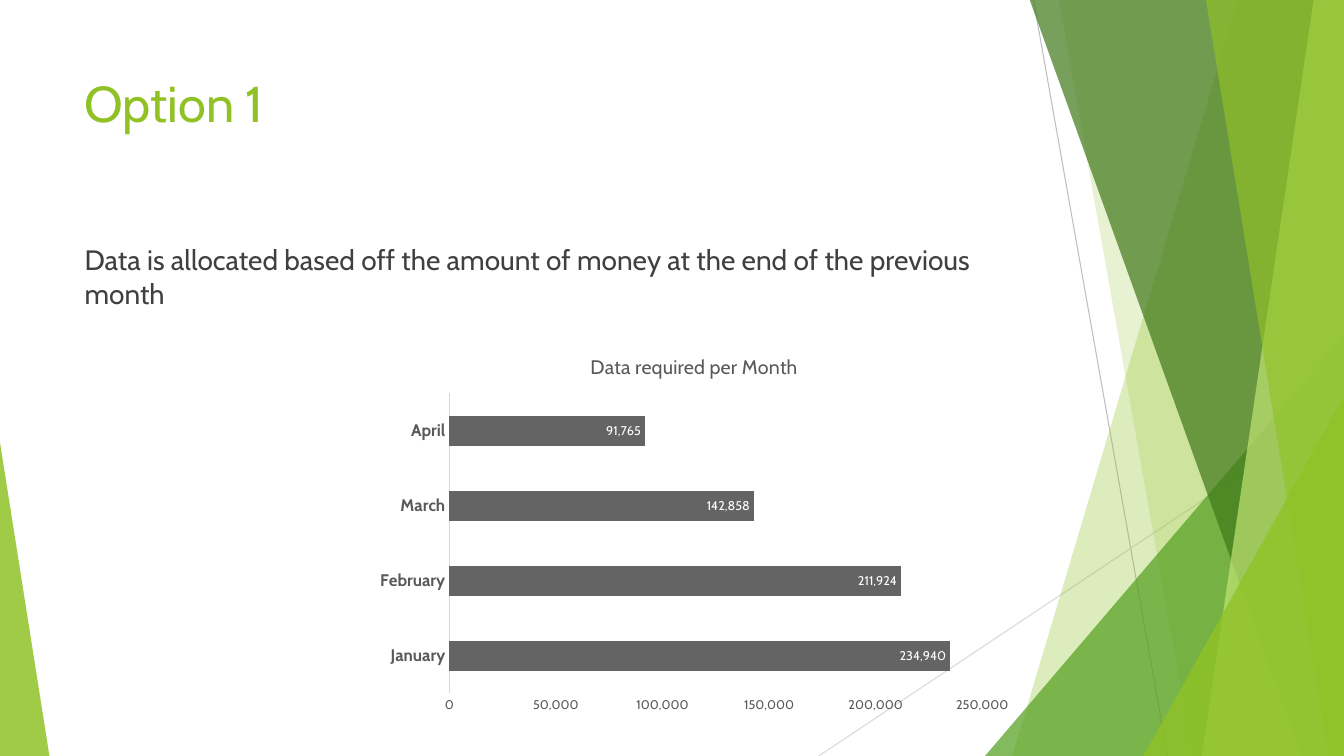
from lxml import etree
from pptx import Presentation
from pptx import util as u
from pptx.chart import data as cd
from pptx.dml.color import RGBColor
from pptx.enum import chart as ch, shapes as sh
from pptx.oxml import ns

PX = 9144  # 100 px to the inch
W, H = 1333, 750
FONT = "Cabin"

LIME = RGBColor(0x90, 0xC2, 0x26)
GREEN = RGBColor(0x54, 0xA0, 0x21)
DARK = RGBColor(0x3F, 0x78, 0x19)
PALE = RGBColor(0xC0, 0xE4, 0x74)
SILVER = RGBColor(0xBF, 0xBF, 0xBF)
MIST = RGBColor(0xD9, 0xD9, 0xD9)
INK = RGBColor(0x40, 0x40, 0x40)
GRAY = RGBColor(0x59, 0x59, 0x59)
BAR = RGBColor(0x64, 0x64, 0x64)
WHITE = RGBColor(0xFF, 0xFF, 0xFF)


def px(*vals):
    return [u.Emu(v * PX) for v in vals]


def paint(shape, color, alpha):
    shape.shadow.inherit = False
    shape.fill.solid()
    shape.fill.fore_color.rgb = color
    shape.line.fill.background()
    clr = shape.fill._xPr.find(".//" + ns.qn("a:srgbClr"))
    etree.SubElement(clr, ns.qn("a:alpha"), val=str(alpha * 1000))


def add_line(slide, x1, y1, x2, y2, color):
    line = slide.shapes.add_connector(
        sh.MSO_CONNECTOR.STRAIGHT, *px(x1, y1, x2, y2))
    line.line.color.rgb = color
    line.line.width = u.Pt(0.75)
    etree.SubElement(line._element.spPr, ns.qn("a:effectLst"))


def add_band(slide, top, base, color, alpha):
    """Fill from a slanted left edge to the right slide edge."""
    pen = slide.shapes.build_freeform(top, -1, scale=PX)
    pen.add_line_segments([(W, -1), (W, H), (base, H)], close=True)
    paint(pen.convert_to_shape(), color, alpha)


def add_wedge(slide, left, top, width, apex, color, alpha):
    """Right triangle standing on the slide's bottom edge."""
    tri = slide.shapes.add_shape(
        sh.MSO_SHAPE.ISOSCELES_TRIANGLE, *px(left, top, width, H - top))
    tri.adjustments[0] = apex
    paint(tri, color, alpha)


def style(font, size, color, bold=False):
    font.name = FONT
    font.size = u.Pt(size)
    font.bold = bold
    font.color.rgb = color


def add_text(slide, box, words, size, color, gap=0):
    frame = slide.shapes.add_textbox(*px(*box)).text_frame
    frame.word_wrap = True
    para = frame.paragraphs[0]
    para.space_before = u.Pt(gap)
    run = para.add_run()
    run.text = words
    style(run.font, size, color)


def set_axis(axis, size, bold):
    axis.has_major_gridlines = False
    axis.major_tick_mark = axis.minor_tick_mark = ch.XL_TICK_MARK.NONE
    style(axis.tick_labels.font, size, GRAY, bold)


def add_bars(slide, box, title, months, vals):
    data = cd.CategoryChartData(number_format="#,##0")
    data.categories = months
    data.add_series("Series 1", vals)
    chart = slide.shapes.add_chart(
        ch.XL_CHART_TYPE.BAR_STACKED, *px(*box), data).chart
    chart.font.name = FONT
    chart.font.size = u.Pt(10)
    chart.has_legend = False

    # Chart title
    chart.has_title = True
    run = chart.chart_title.text_frame.paragraphs[0].add_run()
    run.text = title
    style(run.font, 14, GRAY)
    chart.chart_title.include_in_layout = False

    # Axes
    cat, val = chart.category_axis, chart.value_axis
    set_axis(cat, 12, True)
    cat.format.line.color.rgb = MIST
    cat.format.line.width = u.Pt(0.75)
    set_axis(val, 9, False)
    val.format.line.fill.background()
    val.minimum_scale, val.maximum_scale = 0, 250000
    val.major_unit = 50000
    val.tick_labels.number_format = "#,##0"
    val.tick_labels.number_format_is_linked = False

    # Bars and their labels
    plot = chart.plots[0]
    plot.vary_by_categories = False
    plot.gap_width, plot.overlap = 150, 100
    series = plot.series[0]
    series.format.fill.solid()
    series.format.fill.fore_color.rgb = BAR
    labels = series.data_labels
    labels.show_value = True
    labels.position = ch.XL_LABEL_POSITION.INSIDE_END
    labels.number_format = "#,##0"
    labels.number_format_is_linked = False
    style(labels.font, 9, WHITE)


def main():
    prs = Presentation()
    prs.slide_width, prs.slide_height = px(W, H)
    slide = prs.slides.add_slide(prs.slide_layouts[6])

    # Backdrop of thin lines and green facets
    add_line(slide, 1025, 0, 1158, H, SILVER)
    add_line(slide, W, 403, 812, H, MIST)
    add_band(slide, 1228, 1004, LIME, 30)
    add_band(slide, 1050, 1183, LIME, 20)
    add_wedge(slide, 977, 333, 356, 1, GREEN, 72)
    add_band(slide, 1021, 1291, DARK, 70)
    add_band(slide, 1303, 1192, PALE, 70)
    add_band(slide, 1196, 1318, LIME, 65)
    add_wedge(slide, 1134, 393, 199, 1, LIME, 80)
    add_wedge(slide, 0, 439, 49, 0, LIME, 85)

    # Heading and body
    add_text(slide, (74, 67, 940, 144), "Option 1", 36, LIME)
    add_text(slide, (74, 236, 940, 424),
             "Data is allocated based off the amount of money "
             "at the end of the previous month", 20, INK, gap=10)

    # Monthly chart
    add_bars(slide, (364, 334, 649, 381), "Data required per Month",
             ["January", "February", "March", "April"],
             [234940, 211924, 142858, 91765])
    prs.save("out.pptx")


if __name__ == "__main__":
    main()
